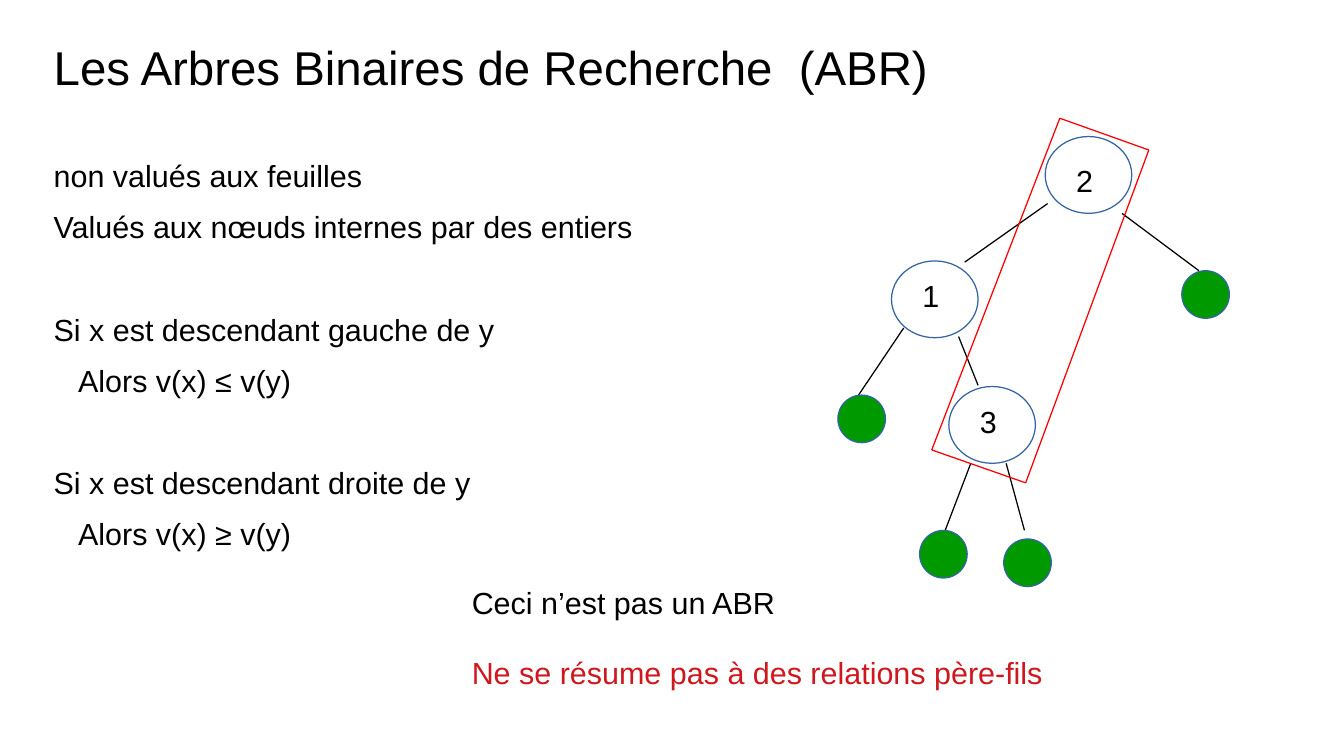
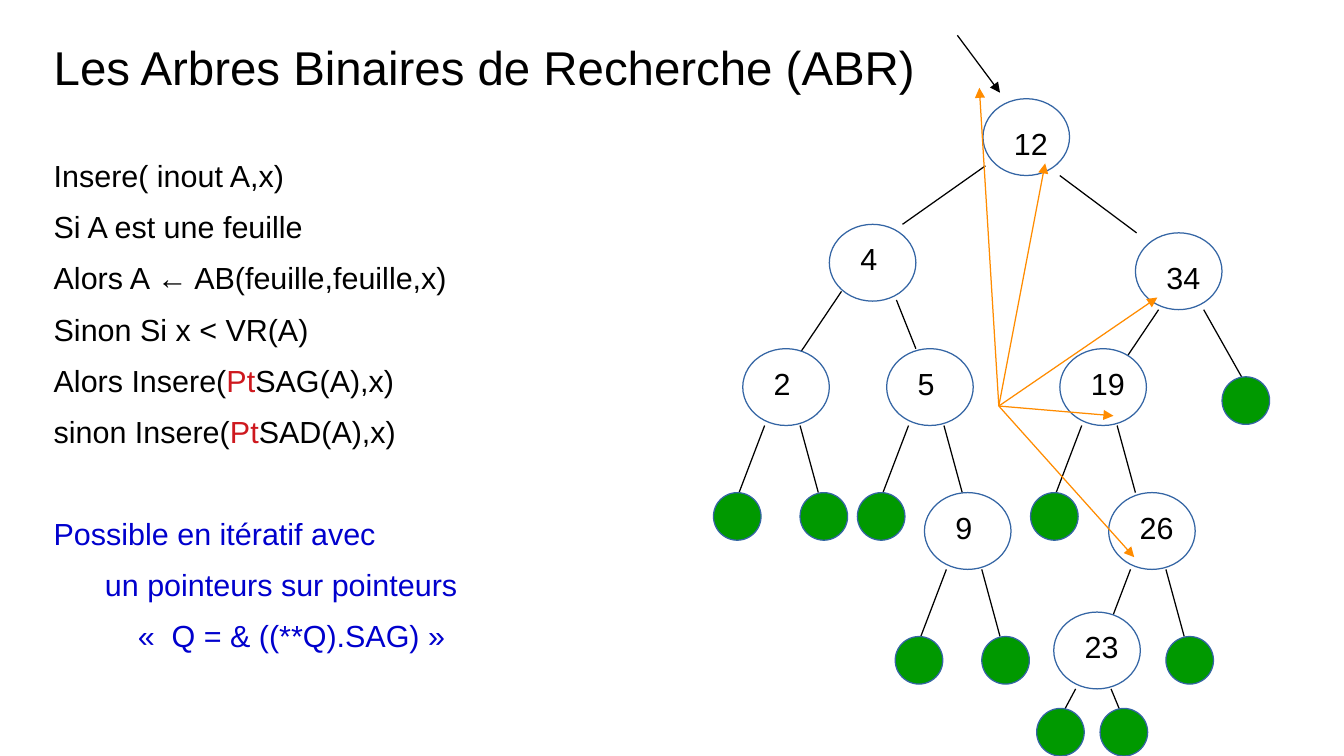
import pptx
import pptx.util
import pptx.dml.color
import pptx.enum.shapes
import pptx.enum.text
from lxml import etree
from dataclasses import dataclass

Inches, Pt = pptx.util.Inches, pptx.util.Pt
Shape = pptx.enum.shapes.MSO_SHAPE
Anchor = pptx.enum.text.MSO_ANCHOR
Align = pptx.enum.text.PP_ALIGN


@dataclass(frozen=True)
class Theme:
    font: str = "Arial"
    head: int = 28
    size: int = 18
    pitch: float = 30.2
    tight: float = 0.93
    rule: float = 0.75
    ink: str = "000000"
    paper: str = "FFFFFF"
    rim: str = "3465A4"
    leaf: str = "009900"
    alert: str = "CE181E"
    frame: str = "FF0000"
    note: str = "0000CD"
    point: str = "FF8C00"


T = Theme()
NODE = (0.71, 0.63)
LEAF = (0.39, 0.39)

# Branches from a node's corner: start, end, and corner of the leaf
FANS = {
    "wide": {"L": ((0.02, 0.55), (-0.66, 1.03), None),
             "R": ((0.63, 0.63), (1.26, 1.10), (1.12, 1.10))},
    "mid": {"L": ((0.10, 0.55), (-0.27, 1.10), (-0.44, 1.10)),
            "R": ((0.55, 0.62), (0.71, 1.02), None)},
    "open": {"L": ((0.19, 0.63), (-0.18, 1.18), None),
             "R": ((0.56, 0.63), (0.87, 1.18), (0.71, 1.18))},
    "low": {"L": ((0.18, 0.63), (-0.03, 1.18), (-0.24, 1.18)),
            "R": ((0.47, 0.63), (0.62, 1.18), (0.47, 1.18))},
    "short": {"L": ((0.18, 0.63), (0.03, 0.91), (-0.14, 0.79)),
              "R": ((0.47, 0.63), (0.59, 0.92), (0.38, 0.79))},
}
FANS["lean"] = {"L": FANS["low"]["L"],
                "R": FANS["low"]["R"][:2] + ((0.45, 1.25),)}

# Text lines: runs of (text, colour), indent, blank lines before
# Tree nodes: label, left, top, fan, sides with a leaf, label drop
SLIDES = [
    {
        "title": "Les Arbres Binaires de Recherche  (ABR)",
        "body": [
            ([("non valués aux feuilles", T.ink)], 0, 0),
            ([("Valués aux nœuds internes par des entiers", T.ink)], 0, 0),
            ([("Si x est descendant gauche de y", T.ink)], 0, 1),
            ([("Alors v(x) ≤ v(y)", T.ink)], 0.2, 0),
            ([("Si x est descendant droite de y", T.ink)], 0, 1),
            ([("Alors v(x) ≥ v(y)", T.ink)], 0.2, 0),
        ],
        "tree": [
            ("2", 8.57, 1.12, "wide", "R", 0.16),
            ("1", 7.31, 2.14, "mid", "L", 0.08),
            ("3", 7.78, 3.17, "lean", "LR", 0.08),
        ],
        "frame": [(8.69, 0.97), (9.42, 1.23), (8.41, 3.96), (7.64, 3.69)],
        "remark": [("Ceci n’est pas un ABR", T.ink),
                   ("Ne se résume pas à des relations père-fils", T.alert)],
    },
    {
        "title": "Les Arbres Binaires de Recherche (ABR)",
        "body": [
            ([("Insere( inout A,x)", T.ink)], 0, 0),
            ([("Si A est une feuille", T.ink)], 0, 0),
            ([("Alors A ← AB(feuille,feuille,x)", T.ink)], 0, 0),
            ([("Sinon Si x < VR(A)", T.ink)], 0, 0),
            ([("Alors Insere(", T.ink), ("Pt", T.alert),
              ("SAG(A),x)", T.ink)], 0, 0),
            ([("sinon Insere(", T.ink), ("Pt", T.alert),
              ("SAD(A),x)", T.ink)], 0, 0),
            ([("Possible en itératif avec", T.note)], 0, 1),
            ([("un pointeurs sur pointeurs", T.note)], 0.42, 0),
            ([("«  Q = & ((**Q).SAG) »", T.note)], 0.69, 0),
        ],
        "tree": [
            ("12", 8.06, 0.81, "wide", "", 0.16),
            ("4", 6.80, 1.84, "mid", "", 0.08),
            ("34", 9.31, 1.91, "open", "R", 0.16),
            ("2", 6.09, 2.86, "low", "LR", 0.08),
            ("5", 7.27, 2.86, "low", "L", 0.08),
            ("19", 8.69, 2.86, "low", "L", 0.08),
            ("9", 7.58, 4.04, "low", "LR", 0.08),
            ("26", 9.09, 4.04, "low", "R", 0.08),
            ("23", 8.64, 5.02, "short", "LR", 0.08),
        ],
        "arrows": [((7.85, 0.29), (8.20, 0.76), T.ink)] + [
            ((8.19, 3.33), tip, T.point) for tip in
            [(9.30, 4.57), (9.13, 3.41), (9.49, 2.44), (8.57, 1.34),
             (8.03, 0.72)]],
    },
]


def rgb(code):
    return pptx.dml.color.RGBColor.from_string(code)


def tag(name):
    return pptx.oxml.ns.qn("a:" + name)


def style(para, size, color):
    for run in para.runs:
        run.font.name, run.font.size = T.font, Pt(size)
        run.font.color.rgb = rgb(color)


def place(shape, left, top, width, height):
    shape.left, shape.top = Inches(left), Inches(top)
    shape.width, shape.height = Inches(width), Inches(height)


def setup(frame, left=0.1, top=0.0, right=0.1):
    frame.word_wrap = True
    frame.auto_size = pptx.enum.text.MSO_AUTO_SIZE.NONE
    frame.vertical_anchor = Anchor.TOP
    frame.margin_left, frame.margin_top = Inches(left), Inches(top)
    frame.margin_right, frame.margin_bottom = Inches(right), 0


def line(slide, start, end, color, arrow=False):
    link = slide.shapes.add_connector(
        pptx.enum.shapes.MSO_CONNECTOR.STRAIGHT,
        *[Inches(v) for v in start + end])
    link.line.color.rgb, link.line.width = rgb(color), Pt(T.rule)
    if arrow:
        etree.SubElement(link.line._get_or_add_ln(), tag("tailEnd"),
                         type="triangle")
    etree.SubElement(link._element.spPr, tag("effectLst"))


def disc(slide, left, top, size, color):
    oval = slide.shapes.add_shape(
        Shape.OVAL, *[Inches(v) for v in (left, top) + size])
    oval.shadow.inherit = False
    oval.fill.solid()
    oval.fill.fore_color.rgb = rgb(color)
    oval.line.color.rgb, oval.line.width = rgb(T.rim), Pt(T.rule)
    return oval


def title(slide, text):
    box = slide.shapes.title
    place(box, 0.34, 0.27, 7.93, 0.6)
    setup(box.text_frame, top=0.08)
    box.text_frame.text = text
    para = box.text_frame.paragraphs[0]
    para.alignment, para.line_spacing = Align.LEFT, T.tight
    style(para, T.head, T.ink)


def body(slide, lines):
    box = slide.placeholders[1]
    place(box, 0.34, 1.17, 5.4, 4.9)
    frame = box.text_frame
    setup(frame)
    for i, (runs, indent, gap) in enumerate(lines):
        para = frame.add_paragraph() if i else frame.paragraphs[0]
        para.line_spacing = Pt(T.pitch)
        para.space_before = Pt(gap * T.pitch)
        props = para._p.get_or_add_pPr()
        props.set("marL", str(Inches(indent)))
        props.set("indent", "0")
        etree.SubElement(props, tag("buNone"))
        for text, color in runs:
            run = para.add_run()
            run.text = text
            run.font.name, run.font.size = T.font, Pt(T.size)
            run.font.color.rgb = rgb(color)


def tree(slide, nodes):
    # Branches first, so that the discs cover their ends
    leaves = []
    for _, x, y, fan, ends, _ in nodes:
        for side, (start, end, leaf) in FANS[fan].items():
            line(slide, (x + start[0], y + start[1]),
                 (x + end[0], y + end[1]), T.ink)
            if side in ends:
                leaves.append((x + leaf[0], y + leaf[1]))
    for x, y in leaves:
        disc(slide, x, y, LEAF, T.leaf)
    for label, x, y, _, _, drop in nodes:
        oval = disc(slide, x, y, NODE, T.paper)
        setup(oval.text_frame, left=0.15, top=drop - 0.04, right=0)
        oval.text_frame.text = label
        para = oval.text_frame.paragraphs[0]
        para.alignment = Align.LEFT
        style(para, T.size, T.ink)


def remark(slide, lines):
    box = slide.shapes.add_textbox(
        *[Inches(v) for v in (3.77, 4.75, 5.36, 0.94)])
    frame = box.text_frame
    setup(frame, top=0.07)
    frame.text = "\n".join(text for text, _ in lines)
    for i, (para, (_, color)) in enumerate(zip(frame.paragraphs, lines)):
        para.line_spacing = T.tight
        para.space_before = Pt(21 if i else 0)
        style(para, T.size, color)


def main():
    deck = pptx.Presentation()
    deck.slide_width, deck.slide_height = Inches(11.02), Inches(6.2)
    for data in SLIDES:
        slide = deck.slides.add_slide(deck.slide_layouts[1])
        title(slide, data["title"])
        body(slide, data["body"])
        tree(slide, data["tree"])
        if "remark" in data:
            remark(slide, data["remark"])
        # Tilted frame, then pointers
        frame = data.get("frame", [])
        for start, end in zip(frame, frame[1:] + frame[:1]):
            line(slide, start, end, T.frame)
        for start, end, color in data.get("arrows", []):
            line(slide, start, end, color, arrow=True)
    deck.save("out.pptx")


if __name__ == "__main__":
    main()
